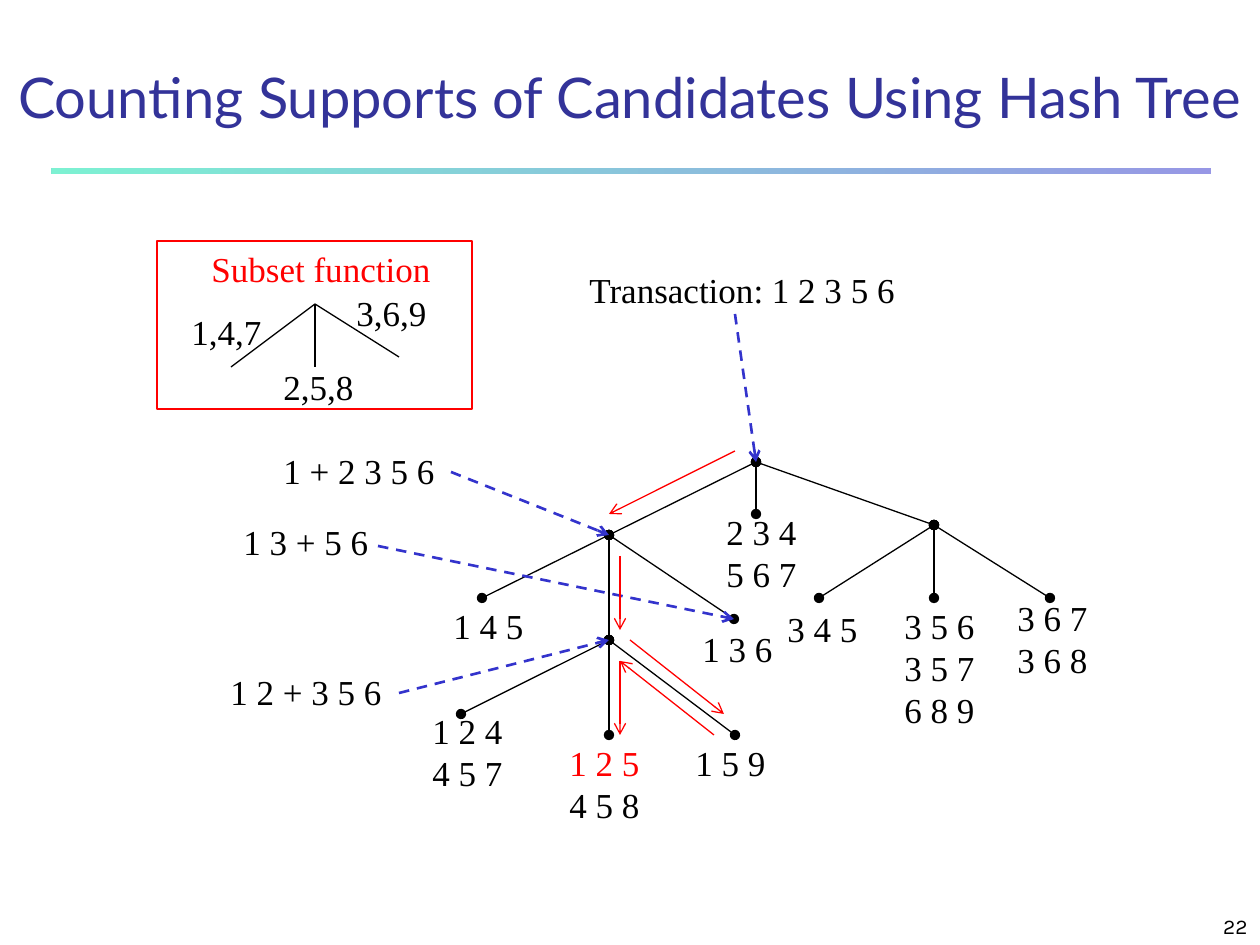
from pptx import Presentation
from pptx.dml.color import RGBColor
from pptx.enum.dml import MSO_LINE
from pptx.enum.shapes import MSO_CONNECTOR, MSO_SHAPE
from pptx.enum.text import MSO_ANCHOR, MSO_AUTO_SIZE, PP_ALIGN
from pptx.oxml.ns import qn
from pptx.util import Emu, Pt
from lxml import etree

STRAIGHT = MSO_CONNECTOR.STRAIGHT
RECTANGLE = MSO_SHAPE.RECTANGLE
DASH = MSO_LINE.DASH
BOTTOM = MSO_ANCHOR.BOTTOM
FIT_SHAPE, NO_FIT = MSO_AUTO_SIZE.SHAPE_TO_FIT_TEXT, MSO_AUTO_SIZE.NONE
LEFT, CENTER, RIGHT = PP_ALIGN.LEFT, PP_ALIGN.CENTER, PP_ALIGN.RIGHT

PX_PER_INCH = 126
TITLE_ONLY = 5
LABEL_WIDTH, LABEL_HEIGHT, LINE_STEP = 97, 55, 42
COLORS = {
    "black": "000000",
    "red": "FF0000",
    "pointer": "3333CC",
    "title": "333399",
    "rule_right": "3333CC",
    "rule_left": "00E4A8",
}

NODES = {
    "root": (756, 462),
    "left": (609, 535),
    "middle": (756, 514),
    "right": (934, 525),
    "lower": (609, 640),
    "145": (482, 598),
    "136": (734, 619),
    "124": (461, 714),
    "125": (609, 735),
    "159": (735, 735),
    "345": (819, 598),
    "356": (934, 598),
    "367": (1050, 598),
}
CHILDREN = {
    "root": ("left", "middle", "right"),
    "left": ("145", "lower", "136"),
    "lower": ("124", "125", "159"),
    "right": ("345", "356", "367"),
}
LEAF_LABELS = [
    ("2 3 4\n5 6 7", 714, 504),
    ("1 4 5", 441, 598),
    ("1 3 6", 690, 621),
    ("1 2 4\n4 5 7", 420, 703),
    ("1 2 5\n4 5 8", 557, 735),
    ("1 5 9", 683, 735),
    ("3 4 5", 775, 601),
    ("3 5 6\n3 5 7\n6 8 9", 892, 598),
    ("3 6 7\n3 6 8", 1005, 590),
]
# Text, left, top, width, start of its pointer, node pointed at
PREFIXES = [
    ("Transaction: 1 2 3 5 6", 577, 262, 333, (735, 314), "root"),
    ("1 + 2 3 5 6", 271, 443, 179, (451, 472), "left"),
    ("1 2 + 3 5 6", 218, 664, 179, (399, 693), "lower"),
    ("1 3 + 5 6", 231, 514, 153, (378, 546), "136"),
]
VISIT_ARROWS = [
    ((735, 451), (609, 514)),
    ((630, 640), (724, 714)),
    ((714, 735), (620, 661)),
    ((620, 556), (620, 630)),
    ((620, 661), (620, 735)),
]


def px(*values):
    return [Emu(round(value * 914400 / PX_PER_INCH)) for value in values]


def color(name):
    return RGBColor.from_string(COLORS[name])


def format_para(para, font, size, color_name, align):
    para.alignment = align
    for span in para.runs:
        span.font.name = font
        span.font.size = Pt(size)
        span.font.color.rgb = color(color_name)


def add_label(page, text, left, top, width=LABEL_WIDTH, color_name="black"):
    height = LABEL_HEIGHT + LINE_STEP * text.count("\n")
    box = page.shapes.add_textbox(*px(left, top, width, height))
    frame = box.text_frame
    frame.text = text
    frame.word_wrap = False
    frame.auto_size = FIT_SHAPE
    for para in frame.paragraphs:
        format_para(para, "Times New Roman", 20, color_name, LEFT)
    return box


def add_line(page, start, end, color_name="black", width=0.75,
             head=None, tail=None, dash=None):
    """Draw a line; head is the mark at its start and tail the one at its end."""
    line = page.shapes.add_connector(STRAIGHT, *px(*start, *end))
    line.line.color.rgb = color(color_name)
    line.line.width = Pt(width)
    if dash:
        line.line.dash_style = dash
    properties = line.element.spPr
    outline = properties.find(qn("a:ln"))
    for tag, mark in (("a:headEnd", head), ("a:tailEnd", tail)):
        if mark:
            etree.SubElement(outline, qn(tag), type=mark)
    etree.SubElement(properties, qn("a:effectLst"))


def add_title_rule(page):
    rule = page.shapes.add_shape(RECTANGLE, *px(52, 168, 1159, 6))
    rule.shadow.inherit = False
    rule.line.fill.background()
    rule.fill.gradient()
    rule.fill.gradient_angle = 180
    for stop, name in zip(rule.fill.gradient_stops, ("rule_right", "rule_left")):
        stop.color.rgb = color(name)
    for tint in rule.element.spPr.iter(qn("a:srgbClr")):
        etree.SubElement(tint, qn("a:alpha"), val="51000")


def add_title(page):
    title = page.shapes.title
    title.left, title.top, title.width, title.height = px(-42, 52, 1344, 84)
    frame = title.text_frame
    frame.text = "Counting Supports of Candidates Using Hash Tree"
    frame.vertical_anchor = BOTTOM
    frame.auto_size = NO_FIT
    format_para(frame.paragraphs[0], "Lato", 32, "title", CENTER)


def add_page_number(page):
    box = page.shapes.add_textbox(*px(998, 892, 262, 53))
    frame = box.text_frame
    frame.text = "22"
    frame.word_wrap = True
    frame.vertical_anchor = BOTTOM
    format_para(frame.paragraphs[0], "Karla", 12, "black", RIGHT)


def add_subset_function(page):
    for end in ((231, 367), (315, 367), (399, 357)):
        add_line(page, (315, 304), end)
    add_label(page, "1,4,7", 179, 304)
    add_label(page, "2,5,8", 271, 359)
    add_label(page, "3,6,9", 344, 285)
    add_label(page, "Subset function", 199, 241, 246, "red")
    frame = page.shapes.add_shape(RECTANGLE, *px(157, 241, 315, 168))
    frame.shadow.inherit = False
    frame.fill.background()
    frame.line.color.rgb = color("red")
    frame.line.width = Pt(0.75)


def add_hash_tree(page):
    for parent, children in CHILDREN.items():
        for child in children:
            add_line(page, NODES[parent], NODES[child], head="oval", tail="oval")
    for text, left, top in LEAF_LABELS:
        box = add_label(page, text, left, top)
        for para in box.text_frame.paragraphs:
            if para.text == "1 2 5":
                para.runs[0].font.color.rgb = color("red")


def add_traversal(page):
    for text, left, top, width, start, node in PREFIXES:
        add_label(page, text, left, top, width)
        add_line(page, start, NODES[node], "pointer", 1.5, tail="arrow", dash=DASH)
    for start, end in VISIT_ARROWS:
        add_line(page, start, end, "red", tail="arrow")


def main():
    deck = Presentation()
    deck.slide_width, deck.slide_height = px(1260, 945)
    page = deck.slides.add_slide(deck.slide_layouts[TITLE_ONLY])
    add_title_rule(page)
    add_page_number(page)
    add_title(page)
    add_subset_function(page)
    add_hash_tree(page)
    add_traversal(page)
    deck.save("out.pptx")


if __name__ == "__main__":
    main()
